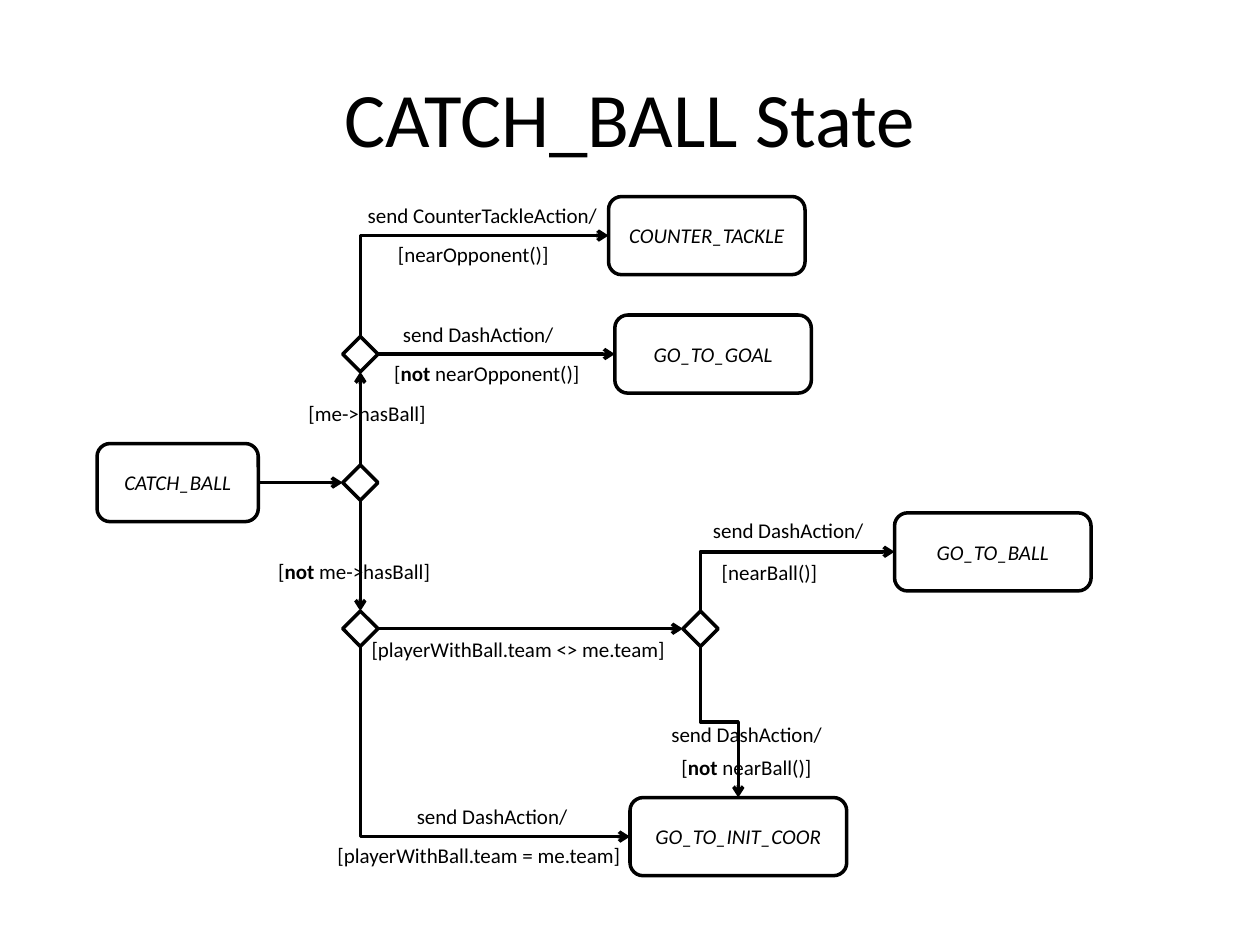
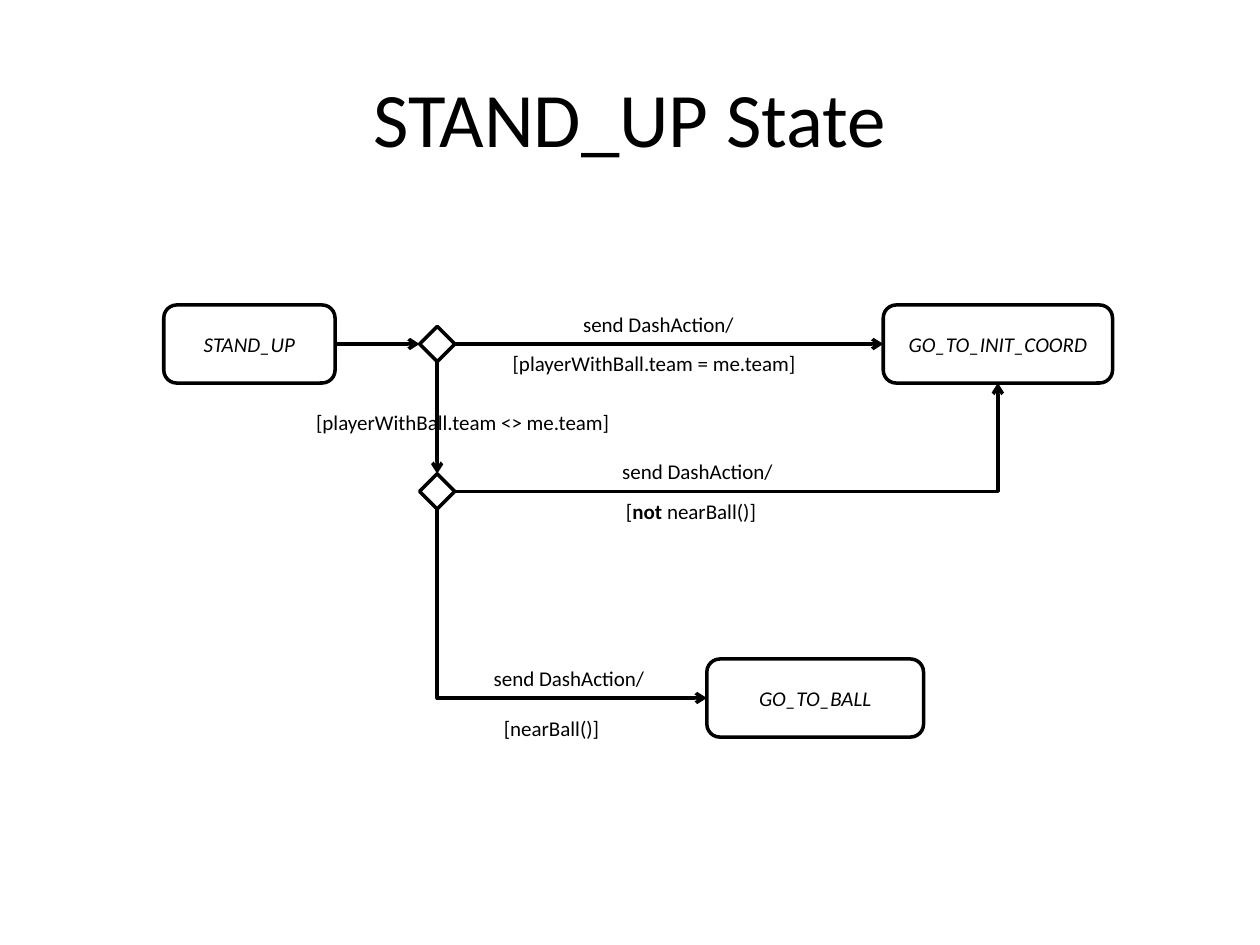
"""Build two state diagrams of decisions and transitions as slides."""
from dataclasses import dataclass

from lxml.etree import SubElement
from pptx import Presentation
from pptx.dml.color import RGBColor
from pptx.enum.shapes import MSO_CONNECTOR, MSO_SHAPE
from pptx.enum.text import MSO_ANCHOR, MSO_AUTO_SIZE, PP_ALIGN
from pptx.oxml.ns import qn
from pptx.util import Pt

PX = 9144
PAGE_SIZE = (1000, 750)
TITLE_FRAME = (50, 30, 900, 125)
STATE_HEIGHT = 62
DECISION_SIZE = 28
LABEL_HEIGHT = 30
TOP, LEFT, BOTTOM, RIGHT = range(4)


@dataclass(frozen=True)
class Theme:
    font: str = "Calibri"
    ink: RGBColor = RGBColor(0, 0, 0)
    paper: RGBColor = RGBColor(255, 255, 255)
    title_size: Pt = Pt(44)
    text_size: Pt = Pt(12)
    line_width: Pt = Pt(2)
    corner: float = 0.167


THEME = Theme()

LABEL_WIDTHS = {
    "send CounterTackleAction/": 208,
    "send DashAction/": 144,
    "[me->hasBall]": 117,
    "[not me->hasBall]": 146,
    "[nearOpponent()]": 144,
    "[not nearOpponent()]": 171,
    "[nearBall()]": 100,
    "[not nearBall()]": 127,
    "[playerWithBall.team = me.team]": 250,
    "[playerWithBall.team <> me.team]": 258,
}

# States are name: (centre x, centre y, width); decisions are name: (centre x, centre y).
DIAGRAMS = [
    {
        "title": "CATCH_BALL State",
        "states": {
            "CATCH_BALL": (141, 383, 128),
            "COUNTER_TACKLE": (561, 187, 156),
            "GO_TO_GOAL": (566, 281, 156),
            "GO_TO_BALL": (788, 438, 156),
            "GO_TO_INIT_COOR": (586, 664, 172),
        },
        "decisions": {
            "has ball": (286, 383),
            "near opponent": (286, 281),
            "team": (286, 499),
            "near ball": (556, 499),
        },
        "transitions": [
            ("CATCH_BALL", RIGHT, "has ball", LEFT),
            ("has ball", TOP, "near opponent", BOTTOM),
            ("has ball", BOTTOM, "team", TOP),
            ("near opponent", TOP, "COUNTER_TACKLE", LEFT),
            ("near opponent", RIGHT, "GO_TO_GOAL", LEFT),
            ("team", RIGHT, "near ball", LEFT),
            ("team", BOTTOM, "GO_TO_INIT_COOR", LEFT),
            ("near ball", TOP, "GO_TO_BALL", LEFT),
            ("near ball", BOTTOM, "GO_TO_INIT_COOR", TOP),
        ],
        "labels": [
            ("send CounterTackleAction/", 282, 156),
            ("[nearOpponent()]", 306, 187),
            ("send DashAction/", 310, 250),
            ("[not nearOpponent()]", 303, 281),
            ("[me->hasBall]", 235, 313),
            ("[not me->hasBall]", 211, 438),
            ("[playerWithBall.team <> me.team]", 285, 500),
            ("send DashAction/", 556, 406),
            ("[nearBall()]", 563, 439),
            ("send DashAction/", 523, 568),
            ("[not nearBall()]", 531, 594),
            ("send DashAction/", 321, 633),
            ("[playerWithBall.team = me.team]", 258, 664),
        ],
    },
    {
        "title": "STAND_UP State",
        "states": {
            "STAND_UP": (198, 273, 136),
            "GO_TO_INIT_COORD": (792, 273, 182),
            "GO_TO_BALL": (647, 554, 172),
        },
        "decisions": {"team": (347, 273), "near ball": (347, 390)},
        "transitions": [
            ("STAND_UP", RIGHT, "team", LEFT),
            ("team", RIGHT, "GO_TO_INIT_COORD", LEFT),
            ("team", BOTTOM, "near ball", TOP),
            ("near ball", RIGHT, "GO_TO_INIT_COORD", BOTTOM),
            ("near ball", BOTTOM, "GO_TO_BALL", LEFT),
        ],
        "labels": [
            ("send DashAction/", 453, 242),
            ("[playerWithBall.team = me.team]", 397, 273),
            ("[playerWithBall.team <> me.team]", 241, 320),
            ("send DashAction/", 484, 359),
            ("[not nearBall()]", 487, 391),
            ("send DashAction/", 382, 523),
            ("[nearBall()]", 390, 563),
        ],
    },
]


def scaled(*lengths):
    """Turn px lengths into EMU."""
    return [length * PX for length in lengths]


def add_span(para, text, size, bold=False, italic=False):
    """Add one styled run to a paragraph."""
    span = para.add_run()
    span.text = text
    font = span.font
    font.name, font.size, font.bold, font.italic = THEME.font, size, bold, italic
    font.color.rgb = THEME.ink


def add_title(page, text):
    """Add the centred slide title."""
    frame = page.shapes.add_textbox(*scaled(*TITLE_FRAME)).text_frame
    frame.word_wrap = True
    frame.vertical_anchor = MSO_ANCHOR.MIDDLE
    para = frame.paragraphs[0]
    para.alignment = PP_ALIGN.CENTER
    add_span(para, text, THEME.title_size)


def add_node(page, preset, centre_x, centre_y, width, height):
    """Add an outlined shape around its centre."""
    left, top = centre_x - width // 2, centre_y - height // 2
    node = page.shapes.add_shape(preset, *scaled(left, top, width, height))
    node.shadow.inherit = False
    node.fill.solid()
    node.fill.fore_color.rgb = THEME.paper
    node.line.color.rgb = THEME.ink
    node.line.width = THEME.line_width
    return node


def add_state(page, name, centre_x, centre_y, width):
    """Add a rounded state box with its name."""
    box = add_node(page, MSO_SHAPE.ROUNDED_RECTANGLE, centre_x, centre_y, width, STATE_HEIGHT)
    box.adjustments[0] = THEME.corner
    box.text_frame.vertical_anchor = MSO_ANCHOR.MIDDLE
    para = box.text_frame.paragraphs[0]
    para.alignment = PP_ALIGN.CENTER
    add_span(para, name, THEME.text_size, italic=True)
    return box


def turn_upright(link):
    """Rotate an elbow so that it leaves its start vertically and runs rightwards."""
    upward = link.end_y < link.begin_y
    width, height = link.width, link.height
    centre_x, centre_y = link.left + width // 2, link.top + height // 2
    link.left, link.top = centre_x - height // 2, centre_y - width // 2
    link.width, link.height = height, width
    frame = link.element.spPr.find(qn("a:xfrm"))
    frame.set("rot", str((90 if upward else 270) * 60000))
    frame.set("flipH", "1")
    frame.set("flipV", "1" if upward else "0")


def add_transition(page, start, start_side, end, end_side):
    """Connect two nodes with an arrow, straight where they line up."""
    link = page.shapes.add_connector(MSO_CONNECTOR.ELBOW, 0, 0, 0, 0)
    link.begin_connect(start, start_side)
    link.end_connect(end, end_side)
    link.line.color.rgb = THEME.ink
    link.line.width = THEME.line_width
    properties = link.element.spPr
    SubElement(properties.find(qn("a:ln")), qn("a:tailEnd"), type="arrow")
    SubElement(properties, qn("a:effectLst"))
    geometry = properties.find(qn("a:prstGeom"))
    if link.width == 0 or link.height == 0:
        geometry.set("prst", "line")
        return
    if start_side % 2 != end_side % 2:
        geometry.set("prst", "bentConnector2")
    if start_side in (TOP, BOTTOM):
        turn_upright(link)


def add_label(page, text, left, top):
    """Add a transition label with the word not in bold."""
    frame = page.shapes.add_textbox(*scaled(left, top, LABEL_WIDTHS[text], LABEL_HEIGHT)).text_frame
    frame.word_wrap = False
    frame.auto_size = MSO_AUTO_SIZE.SHAPE_TO_FIT_TEXT
    negation = "not "
    for part in filter(None, text.partition(negation)):
        add_span(frame.paragraphs[0], part, THEME.text_size, bold=part == negation)


def add_diagram(deck, diagram):
    """Add one slide with its states, decisions, transitions and labels."""
    page = deck.slides.add_slide(deck.slide_layouts[6])
    add_title(page, diagram["title"])
    nodes = {name: add_state(page, name, *place) for name, place in diagram["states"].items()}
    for name, centre in diagram["decisions"].items():
        nodes[name] = add_node(page, MSO_SHAPE.DIAMOND, *centre, DECISION_SIZE, DECISION_SIZE)
    for start, start_side, end, end_side in diagram["transitions"]:
        add_transition(page, nodes[start], start_side, nodes[end], end_side)
    for label in diagram["labels"]:
        add_label(page, *label)


def main():
    """Build and save the deck."""
    deck = Presentation()
    deck.slide_width, deck.slide_height = scaled(*PAGE_SIZE)
    for diagram in DIAGRAMS:
        add_diagram(deck, diagram)
    deck.save("out.pptx")


if __name__ == "__main__":
    main()
